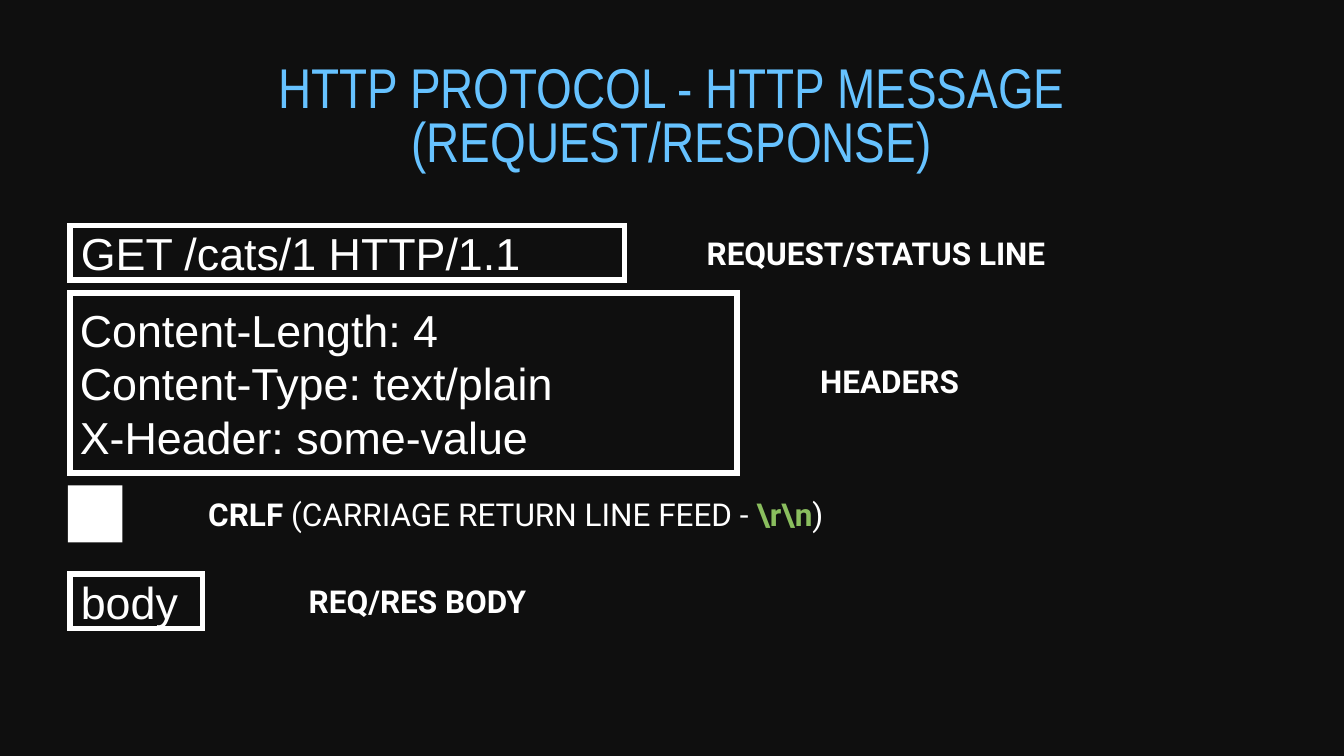
"""Build a slide that labels the parts of an HTTP message."""
from lxml import etree
from pptx import Presentation
from pptx.dml.color import RGBColor
from pptx.enum.shapes import MSO_SHAPE
from pptx.enum.text import MSO_ANCHOR, MSO_AUTO_SIZE, PP_ALIGN
from pptx.oxml.ns import qn
from pptx.util import Pt

BACKGROUND = RGBColor(0x0F, 0x0F, 0x0F)
BLUE = RGBColor(0x66, 0xC2, 0xFF)
GREEN = RGBColor(0x8A, 0xBE, 0x5E)
WHITE = RGBColor(0xFF, 0xFF, 0xFF)
RECTANGLE = MSO_SHAPE.RECTANGLE
TOP, MIDDLE = MSO_ANCHOR.TOP, MSO_ANCHOR.MIDDLE
NO_FIT, FIT_SHAPE = MSO_AUTO_SIZE.NONE, MSO_AUTO_SIZE.SHAPE_TO_FIT_TEXT
CENTER = PP_ALIGN.CENTER

TITLE_FONT = {"name": "Arial Narrow", "size": Pt(80), "color": BLUE}
CODE_FONT = {"name": "Arial", "size": Pt(64), "color": WHITE}
PLAIN_FONT = {"name": "Roboto", "size": Pt(45), "color": WHITE, "bold": False}
LABEL_FONT = {**PLAIN_FONT, "bold": True}
ESCAPE_FONT = {**LABEL_FONT, "color": GREEN}

TITLE_FRAME = {"word_wrap": True, "auto_size": NO_FIT, "vertical_anchor": TOP}
LINE_FRAME = {"word_wrap": False, "auto_size": FIT_SHAPE, "vertical_anchor": MIDDLE}
MARGINS = dict.fromkeys(("margin_left", "margin_top", "margin_right", "margin_bottom"), Pt(6))

deck = Presentation()
deck.slide_width, deck.slide_height = Pt(1920), Pt(1080)
page = deck.slides.add_slide(deck.slide_layouts[6])
page.background.fill.solid()
page.background.fill.fore_color.rgb = BACKGROUND


def add_text(bounds, paragraphs, frame_format):
    box = page.shapes.add_textbox(*map(Pt, bounds))
    frame = box.text_frame
    for name, value in {**frame_format, **MARGINS}.items():
        setattr(frame, name, value)
    for index, spans in enumerate(paragraphs):
        para = frame.add_paragraph() if index else frame.paragraphs[0]
        for text, font_format in spans:
            span = para.add_run()
            span.text = text
            for name, value in font_format.items():
                if name == "color":
                    span.font.color.rgb = value
                else:
                    setattr(span.font, name, value)
    return frame


def add_rectangle(bounds):
    rectangle = page.shapes.add_shape(RECTANGLE, *map(Pt, bounds))
    rectangle.shadow.inherit = False
    return rectangle


title = add_text(
    (240, 88, 1440, 101.5),
    [[("HTTP PROTOCOL - HTTP MESSAGE (REQUEST/RESPONSE)", TITLE_FONT)]],
    TITLE_FRAME,
)
title.paragraphs[0].alignment = CENTER
title.paragraphs[0].line_spacing = 0.8

for top, width, height in ((322, 792, 78), (419, 952.5, 257), (820, 189.5, 78)):
    outline = add_rectangle((100, top, width, height))
    outline.fill.background()
    outline.line.color.rgb = WHITE
    outline.line.width = Pt(8)
    etree.SubElement(outline.line._get_or_add_ln(), qn("a:miter"), lim="400000")

crlf_square = add_rectangle((97, 693.5, 78, 81.5))
crlf_square.fill.solid()
crlf_square.fill.fore_color.rgb = WHITE
crlf_square.line.fill.background()

message_parts = (
    ((109.5, 312, 782.5, 98), ["GET /cats/1 HTTP/1.1"]),
    (
        (108, 411, 936.5, 272),
        ["Content-Length: 4", "Content-Type: text/plain", "X-Header: some-value"],
    ),
    ((109.5, 810, 166.5, 98), ["body"]),
)
for bounds, lines in message_parts:
    add_text(bounds, [[(line, CODE_FONT)] for line in lines], LINE_FRAME)

crlf_spans = [
    ("CRLF ", LABEL_FONT),
    ("(CARRIAGE RETURN LINE FEED - ", PLAIN_FONT),
    ("\\r\\n", ESCAPE_FONT),
    (")", PLAIN_FONT),
]
labels = (
    (1003.5, 325.5, 517, [("REQUEST/STATUS LINE", LABEL_FONT)]),
    (1165.5, 507.5, 225.5, [("HEADERS", LABEL_FONT)]),
    (291.5, 698.5, 926, crlf_spans),
    (435, 823, 353.5, [("REQ/RES BODY", LABEL_FONT)]),
)
for left, top, width, spans in labels:
    add_text((left, top, width, 72), [spans], LINE_FRAME)

deck.save("out.pptx")
